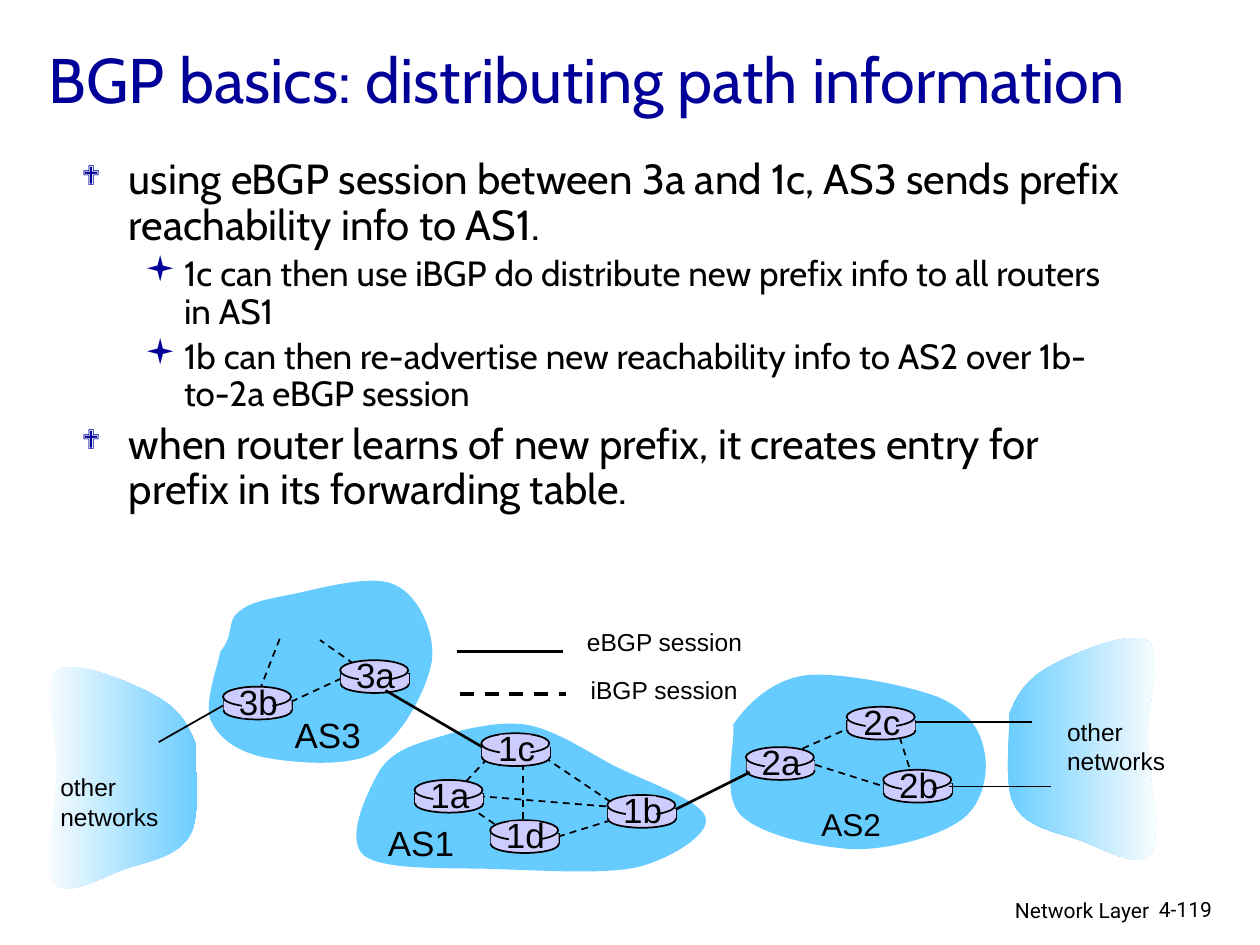
"""Build the BGP path distribution slide on a grid of 1000 columns by 750 rows."""
from lxml import etree
from pptx import Presentation
from pptx.dml.color import RGBColor
from pptx.enum.dml import MSO_LINE
from pptx.enum.shapes import MSO_CONNECTOR, MSO_SHAPE
from pptx.enum.text import MSO_ANCHOR, PP_ALIGN
from pptx.oxml.ns import qn
from pptx.util import Inches, Pt

DASH, STRAIGHT = MSO_LINE.DASH, MSO_CONNECTOR.STRAIGHT
OVAL, RECT = MSO_SHAPE.OVAL, MSO_SHAPE.RECTANGLE
LEFT, CENTER, RIGHT = PP_ALIGN.LEFT, PP_ALIGN.CENTER, PP_ALIGN.RIGHT
MIDDLE = MSO_ANCHOR.MIDDLE
CELL = Inches(0.01)
COLS, ROWS = 1000, 750
HEX = {"navy": "000099", "black": "000000", "sky": "66CCFF",
       "lilac": "CCCCFF", "white": "FFFFFF"}
RGB = {name: RGBColor.from_string(value) for name, value in HEX.items()}


def add_text(shapes, box, lines, size, font="Arial", color="black", align=LEFT, wrap=False):
    tf = shapes.add_textbox(*(int(v * CELL) for v in box)).text_frame
    tf.word_wrap = wrap
    tf.text = "\n".join(lines)
    for p in tf.paragraphs:
        p.alignment = align
        p.font.size, p.font.name, p.font.color.rgb = Pt(size), font, RGB[color]
    return tf


def add_line(shapes, ends, width=1, dash=None):
    line = shapes.add_connector(STRAIGHT, *(int(v * CELL) for v in ends))
    line.line.width, line.line.color.rgb = Pt(width), RGB["black"]
    if dash:
        line.line.dash_style = dash
    etree.SubElement(line._element.spPr, qn("a:effectLst"))


prs = Presentation()
prs.slide_width, prs.slide_height = COLS * CELL, ROWS * CELL
s = prs.slides.add_slide(prs.slide_layouts[6])

add_text(s.shapes, (605, 707, 317, 31), ["Network Layer"], 12, "Roboto", align=RIGHT, wrap=True)
add_text(s.shapes, (910, 707, 74, 30), ["4-119"], 12, "Roboto", wrap=True)
title = add_text(s.shapes, (29, 0, 879, 125), ["BGP basics: distributing path information"],
                 36, "Cabin", "navy", wrap=True)
title.vertical_anchor = MIDDLE

other_start = (801, 567)
other_curves = [(807, 551, 815, 539, 833, 529), (851, 519, 898, 499, 911, 509),
                (924, 518, 910, 559, 911, 587), (911, 616, 923, 665, 913, 678),
                (904, 691, 873, 672, 855, 666), (836, 660, 814, 656, 805, 639),
                (796, 623, 802, 582, 801, 567)]
mirror_x, mirror_drop = 956, 23
mirrored_start = (mirror_x - other_start[0], other_start[1] + mirror_drop)
mirrored_curves = [tuple(v + mirror_drop if i % 2 else mirror_x - v for i, v in enumerate(curve))
                   for curve in other_curves]
clouds = [
    (other_start, other_curves, ("sky", "white")),
    (mirrored_start, mirrored_curves, ("white", "sky")),
    ((582, 575), [(593, 559, 612, 540, 639, 536), (666, 533, 720, 544, 744, 553),
                  (768, 563, 778, 579, 781, 595), (785, 611, 781, 637, 764, 650),
                  (747, 663, 709, 674, 679, 674), (650, 673, 604, 663, 588, 647),
                  (572, 631, 584, 590, 582, 575)], None),
    ((175, 517), [(186, 504, 180, 493, 189, 486), (198, 478, 210, 476, 230, 472),
                  (251, 468, 294, 455, 313, 464), (332, 472, 345, 501, 343, 523),
                  (340, 545, 320, 584, 298, 597), (276, 610, 230, 605, 209, 601),
                  (187, 596, 173, 585, 167, 571), (162, 557, 173, 528, 175, 517)], None),
    ((301, 612), [(311, 596, 328, 591, 348, 585), (367, 579, 394, 572, 417, 575),
                  (440, 579, 462, 594, 486, 607), (509, 619, 557, 635, 560, 649),
                  (564, 662, 533, 681, 507, 688), (480, 694, 436, 691, 400, 690),
                  (364, 688, 306, 692, 289, 679), (273, 666, 292, 628, 301, 612)], None),
]
for start, curves, gradient in clouds:
    points = [(c[i] * CELL, c[i + 1] * CELL) for c in curves for i in (0, 2, 4)]
    builder = s.shapes.build_freeform(start[0] * CELL, start[1] * CELL)
    builder.add_line_segments(points, close=True)
    cloud = builder.convert_to_shape()
    corners = list(cloud._element.iter(qn("a:lnTo")))
    for first, second, third in zip(corners[::3], corners[1::3], corners[2::3]):
        curve = etree.Element(qn("a:cubicBezTo"))
        first.addprevious(curve)
        for corner in (first, second, third):
            curve.append(corner[0])
            corner.getparent().remove(corner)
    cloud.shadow.inherit = False
    cloud.line.fill.background()
    if gradient:
        cloud.fill.gradient()
        cloud.fill.gradient_angle = 0
        for stop, name in zip(cloud.fill.gradient_stops, gradient):
            stop.color.rgb = RGB[name]
    else:
        cloud.fill.solid()
        cloud.fill.fore_color.rgb = RGB["sky"]

labels = [((224, 561, 73, 43), ["AS3"], 20), ((642, 634, 67, 40), ["AS2"], 18),
          ((298, 647, 73, 43), ["AS1"], 20), ((837, 564, 98, 57), ["other", "networks"], 14),
          ((38, 608, 98, 57), ["other", "networks"], 14),
          ((456, 493, 143, 33), ["eBGP session"], 14),
          ((459, 531, 137, 33), ["iBGP session"], 14)]
for box, lines, size in labels:
    add_text(s.shapes, box, lines, size)

ibgp_links = [(231, 557, 274, 537), (281, 527, 254, 508), (222, 507, 206, 548),
              (387, 602, 370, 620), (415, 606, 415, 656), (432, 601, 487, 638),
              (485, 651, 443, 664), (481, 640, 382, 632), (372, 640, 394, 655),
              (628, 598, 676, 577), (647, 607, 701, 624), (714, 585, 722, 610)]
for ends in ibgp_links:
    add_line(s.shapes, ends, dash=DASH)

routers = [("3b", 177, 545, 3, 22), ("3a", 270, 524, 3, 19), ("1c", 382, 582, 1, 23),
           ("1a", 329, 619, 5, 17), ("1d", 389, 651, 1, 23), ("1b", 482, 631, 1, 23),
           ("2a", 592, 593, 2, 21), ("2c", 672, 561, 2, 20), ("2b", 701, 611, 2, 19)]
for name, x, y, plate_drop, plate_height in routers:
    router = s.shapes.add_group_shape().shapes
    for side in (x + 0.5, x + 54.5):
        add_line(router, (side, y + 10.5, side, y + 19))
    parts = [(OVAL, 0.5, 12, 54, 14), (RECT, 0.5, 11, 54, 7.5),
             (OVAL, 0, 0, 54, 16), (RECT, 15, plate_drop, 24, plate_height)]
    for kind, dx, dy, width, height in parts:
        box = (int(v * CELL) for v in (x + dx, y + dy, width, height))
        part = router.add_shape(kind, *box)
        part.shadow.inherit = False
        part.fill.solid()
        part.fill.fore_color.rgb = RGB["lilac"]
        if kind == OVAL:
            part.line.width, part.line.color.rgb = Pt(1), RGB["black"]
        else:
            part.line.fill.background()
    add_text(router, (x + 2.5, y - 10, 51, 43), [name], 20, align=CENTER)

bullets = [
    (0, "using eBGP session between 3a and 1c, AS3 sends prefix reachability info to AS1."),
    (1, "1c can then use iBGP do distribute new prefix info to all routers in AS1"),
    (1, "1b can then re-advertise new reachability info to AS2 over 1b-to-2a eBGP session"),
    (0, "when router learns of new prefix, it creates entry for prefix in its forwarding table."),
]
bullet_styles = [(24, "❖", 37.5, 37.5, 65), (20, "▪", 81.25, 31.25, 100)]
body = add_text(s.shapes, (55, 121, 850, 259), [text for _, text in bullets],
                24, "Cabin", wrap=True)
for p, (level, _) in zip(body.paragraphs, bullets):
    size, mark, margin, hanging, percent = bullet_styles[level]
    p.level, p.line_spacing, p.space_before = level, 0.9, Pt(size * 0.2)
    p.font.size = Pt(size)
    pPr = p._p.get_or_add_pPr()
    pPr.set("marL", str(int(margin * CELL)))
    pPr.set("indent", str(int(-hanging * CELL)))
    color = etree.Element(qn("a:buClr"))
    etree.SubElement(color, qn("a:srgbClr"), val=HEX["navy"])
    bullet_size = etree.Element(qn("a:buSzPct"), val=str(percent * 1000))
    bullet_font = etree.Element(qn("a:buFont"), typeface="Wingdings")
    bullet = etree.Element(qn("a:buChar"), char=mark)
    for element in (color, bullet_size, bullet_font, bullet):
        pPr.find(qn("a:defRPr")).addprevious(element)

solid_lines = [((726, 573, 819, 573), 0.75), ((753, 624, 834, 624), 0.75),
               ((177, 560, 126, 589), 1), ((537, 642, 595, 613), 1.5),
               ((306, 548, 383, 593), 1.5), ((363, 517, 447, 517), 2)]
for ends, width in solid_lines:
    add_line(s.shapes, ends, width)
add_line(s.shapes, (365, 551, 449, 551), 2, DASH)

prs.save("out.pptx")
